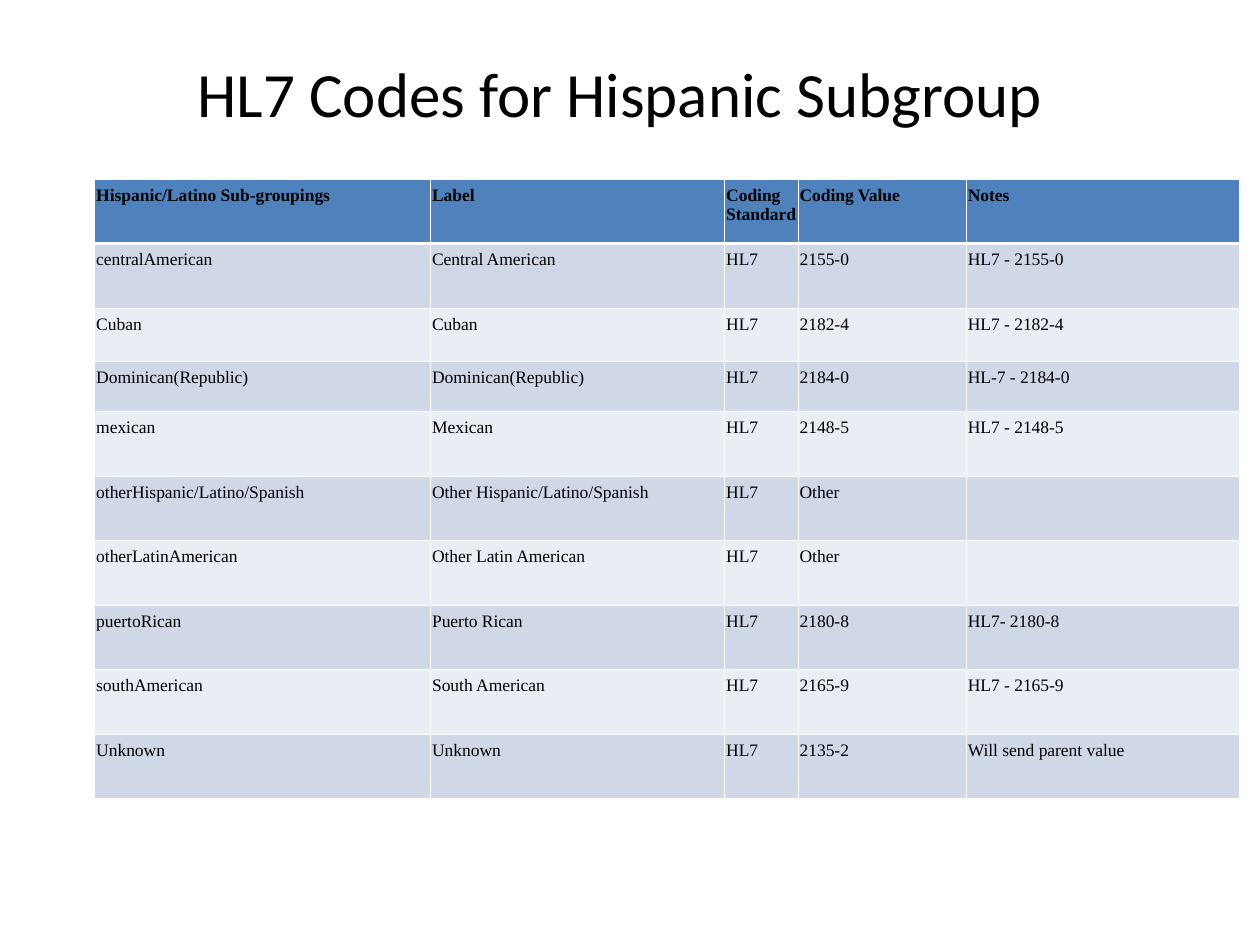
import pptx
import pptx.util
import pptx.dml.color
import pptx.enum.text
import pptx.oxml

Cm, Pt = pptx.util.Cm, pptx.util.Pt
RGB = pptx.dml.color.RGBColor.from_string

COLORS = {"text": "000000", "head": "4F81BD", "odd": "D0D8E8",
          "even": "E9EDF4", "rule": "FFFFFF"}

TITLE = {"name": "Calibri", "size": Pt(36)}
HEAD = {"name": "Times New Roman", "size": Pt(10), "bold": True}
BODY = {**HEAD, "bold": False}
CELL = {"margin_left": Cm(0.03), "margin_right": Cm(0.03),
        "margin_top": Cm(0.13), "margin_bottom": Cm(0.13)}

COLS = [6.77, 5.93, 1.48, 3.39, 5.5]
ROW = 1.3
SHORT = {2: 1.07, 3: 1.02}  # rows lower than the rest

CODES = [
    ("Hispanic/Latino Sub-groupings", "Label", "Coding Standard",
     "Coding Value", "Notes"),
    ("centralAmerican", "Central American", "HL7", "2155-0", "HL7 - 2155-0"),
    ("Cuban", "Cuban", "HL7", "2182-4", "HL7 - 2182-4"),
    ("Dominican(Republic)", "Dominican(Republic)", "HL7", "2184-0",
     "HL-7 - 2184-0"),
    ("mexican", "Mexican", "HL7", "2148-5", "HL7 - 2148-5"),
    ("otherHispanic/Latino/Spanish", "Other Hispanic/Latino/Spanish", "HL7",
     "Other", ""),
    ("otherLatinAmerican", "Other Latin American", "HL7", "Other", ""),
    ("puertoRican", "Puerto Rican", "HL7", "2180-8", "HL7- 2180-8"),
    ("southAmerican", "South American", "HL7", "2165-9", "HL7 - 2165-9"),
    ("Unknown", "Unknown", "HL7", "2135-2", "Will send parent value"),
]


def apply(item, form):
    for key, val in form.items():
        setattr(item, key, val)


def write(para, text, form):
    run = para.add_run()
    run.text = text
    apply(run.font, form)
    run.font.color.rgb = RGB(COLORS["text"])


def add_title(slide, text):
    box = slide.shapes.add_textbox(Cm(0.43), Cm(0.76), Cm(24.13), Cm(2.21))
    frame = box.text_frame
    frame.word_wrap = True
    frame.vertical_anchor = pptx.enum.text.MSO_ANCHOR.MIDDLE
    para = frame.paragraphs[0]
    para.alignment = pptx.enum.text.PP_ALIGN.CENTER
    write(para, text, TITLE)


def add_rule(cell, side, width):
    line = pptx.oxml.parse_xml(
        f'<a:{side} xmlns:a="http://schemas.openxmlformats.org/drawingml/2006/main"'
        f' w="{Pt(width)}"><a:solidFill><a:srgbClr val="{COLORS["rule"]}"/>'
        f'</a:solidFill></a:{side}>')
    cell._tc.get_or_add_tcPr().append(line)


def fill_cell(cell, text, row):
    apply(cell, CELL)
    # Borders come before the fill; the rule under the header is thicker
    thick = {(0, "lnB"), (1, "lnT")}
    for side in ("lnL", "lnR", "lnT", "lnB"):
        add_rule(cell, side, 1.47 if (row, side) in thick else 0.45)
    cell.fill.solid()
    tone = "head" if row == 0 else "odd" if row % 2 else "even"
    cell.fill.fore_color.rgb = RGB(COLORS[tone])
    if text:
        write(cell.text_frame.paragraphs[0], text, BODY if row else HEAD)


def add_codes(slide):
    highs = [SHORT.get(i, ROW) for i in range(len(CODES))]
    table = slide.shapes.add_table(
        len(CODES), len(COLS), Cm(1.91), Cm(3.61),
        Cm(sum(COLS)), Cm(sum(highs))).table
    for col, wide in zip(table.columns, COLS):
        col.width = Cm(wide)
    for i, (row, high) in enumerate(zip(table.rows, highs)):
        row.height = Cm(high)
        for cell, text in zip(row.cells, CODES[i]):
            fill_cell(cell, text, i)


def main():
    deck = pptx.Presentation()
    deck.slide_width, deck.slide_height = Cm(25.4), Cm(19.05)
    slide = deck.slides.add_slide(deck.slide_layouts[6])
    # Heading
    add_title(slide, "HL7 Codes for Hispanic Subgroup")
    # Code table
    add_codes(slide)
    deck.save("out.pptx")


if __name__ == "__main__":
    main()
